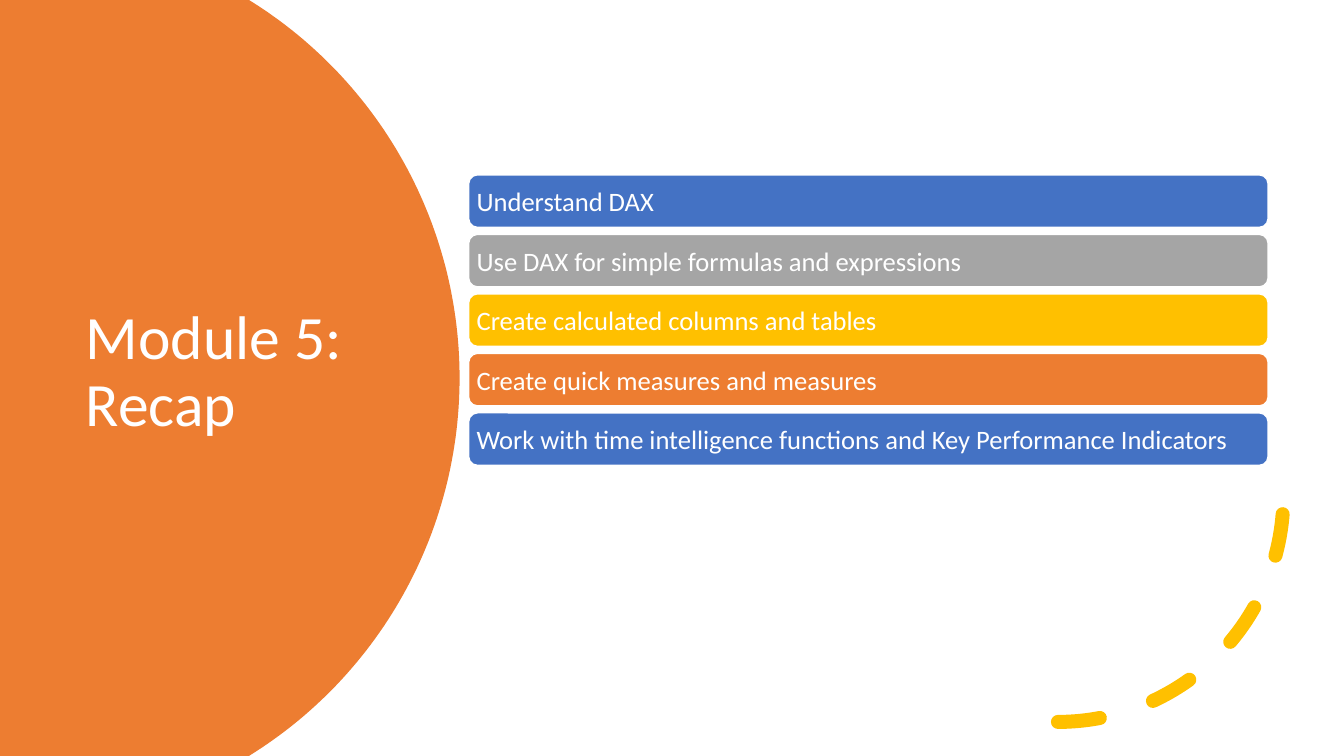
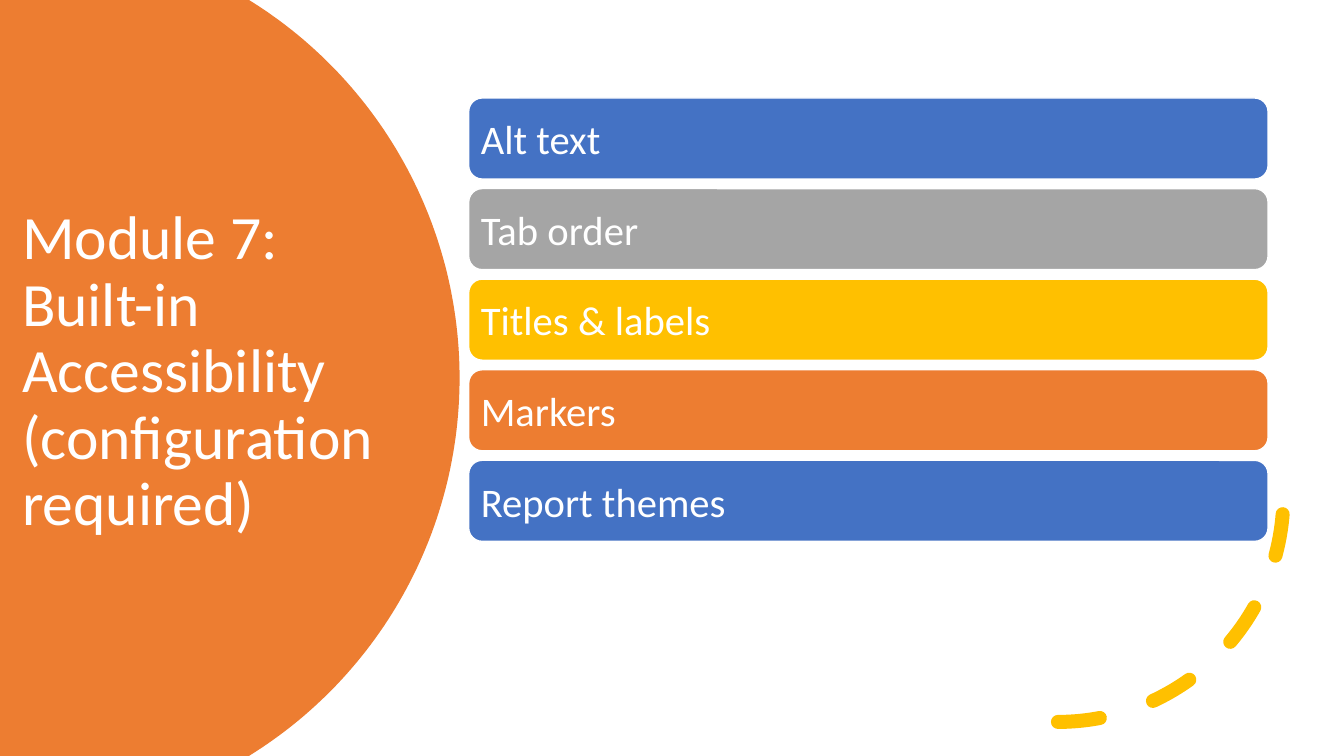
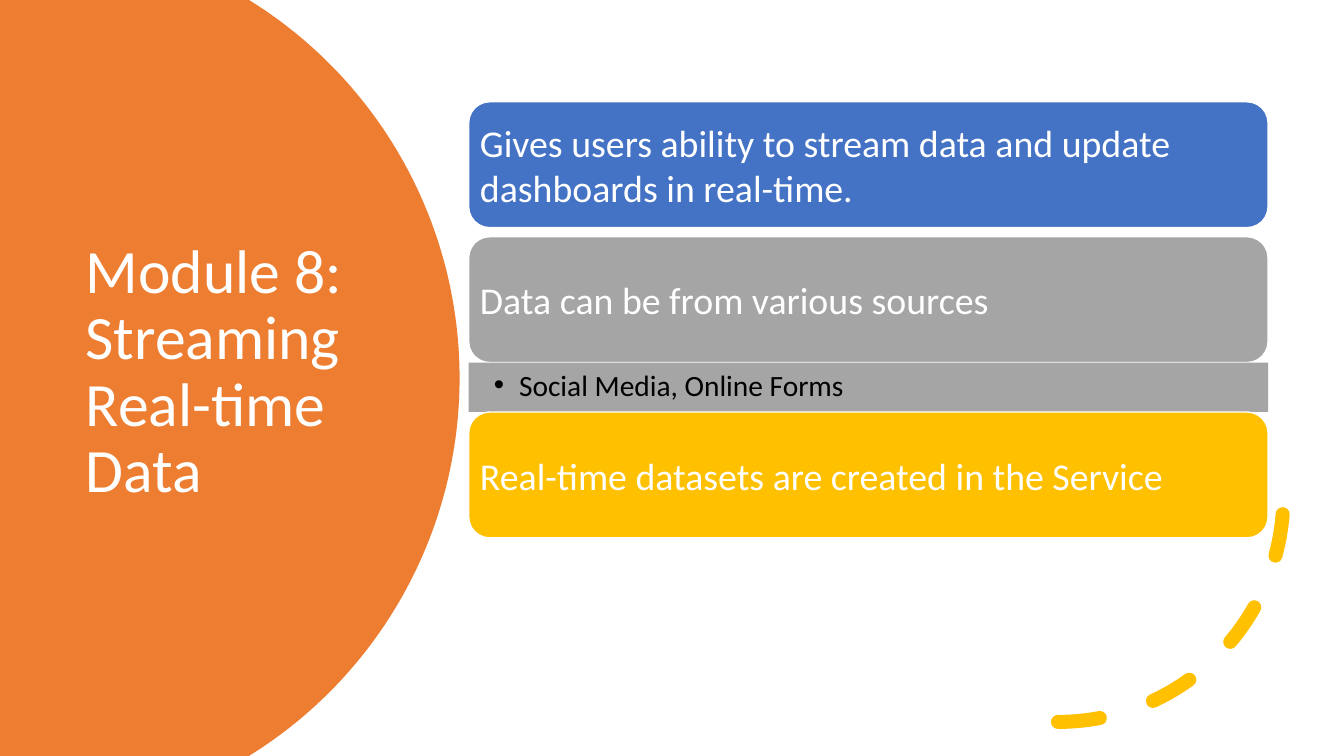
"""Build three course module slides with a round title panel and coloured bars."""
import math
from dataclasses import dataclass

from lxml import etree
from pptx import Presentation
from pptx import util as u
from pptx.dml.color import RGBColor
from pptx.enum import dml, shapes, text
from pptx.oxml import ns


@dataclass(frozen=True)
class Theme:
    font: str = "Calibri"
    title_size: float = 44
    white: str = "FFFFFF"
    black: str = "000000"
    orange: str = "ED7D31"
    blue: str = "4472C4"
    grey: str = "A5A5A5"
    gold: str = "FFC000"
    width: float = 960
    height: float = 540
    bar_left: float = 334.8
    bar_width: float = 571

    @property
    def bar_colours(self):
        return [self.blue, self.grey, self.gold, self.orange]


class ModuleDeck:
    def __init__(self, theme):
        self.theme = theme
        self.deck = Presentation()
        self.deck.slide_width = u.Pt(theme.width)
        self.deck.slide_height = u.Pt(theme.height)
        self.slide = None

    def add_slide(self, title, title_left=54):
        self.slide = self.deck.slides.add_slide(self.deck.slide_layouts[5])
        self.panel()
        self.title(title, title_left)
        self.dashed_arc()

    def paint(self, shape, fill=None, line=None, line_width=1):
        shape.shadow.inherit = False
        if fill:
            shape.fill.solid()
            shape.fill.fore_color.rgb = RGBColor.from_string(fill)
        else:
            shape.fill.background()
        if line:
            shape.line.color.rgb = RGBColor.from_string(line)
            shape.line.width = u.Pt(line_width)
        else:
            shape.line.fill.background()

    def set_words(self, shape, words, size, colour, insets, anchor):
        frame = shape.text_frame
        frame.text = words
        frame.word_wrap = True
        frame.auto_size = text.MSO_AUTO_SIZE.NONE
        frame.vertical_anchor = anchor
        frame.margin_left, frame.margin_top, frame.margin_right, frame.margin_bottom = (
            u.Pt(inset) for inset in insets)
        para = frame.paragraphs[0]
        para.alignment = text.PP_ALIGN.LEFT
        for span in para.runs:
            span.font.name = self.theme.font
            span.font.size = u.Pt(size)
            span.font.color.rgb = RGBColor.from_string(colour)
        return para

    def panel(self):
        radius, centre_x, middle = 317.5, 10.8, self.theme.height / 2
        reach = math.asin(middle / radius)
        steps = 120
        angles = [reach * (2 * step / steps - 1) for step in range(steps + 1)]
        edge = [(centre_x + radius * math.cos(angle), middle + radius * math.sin(angle))
                for angle in angles]
        points = [(u.Pt(x), u.Pt(y)) for x, y in edge + [(0, self.theme.height)]]
        builder = self.slide.shapes.build_freeform(0, 0)
        builder.add_line_segments(points, close=True)
        panel = builder.convert_to_shape()
        self.paint(panel, self.theme.orange)
        self.slide.shapes.title.element.addprevious(panel.element)

    def title(self, words, left):
        box = self.slide.shapes.title
        right = 306
        box.left, box.top = u.Pt(left), u.Pt(90.7)
        box.width, box.height = u.Pt(right - left), u.Pt(351.4)
        para = self.set_words(box, words, self.theme.title_size, self.theme.white,
                              (7.2, 3.6, 7.2, 3.6), text.MSO_ANCHOR.MIDDLE)
        para.line_spacing = 0.9

    def dashed_arc(self):
        arc = self.slide.shapes.add_shape(
            shapes.MSO_SHAPE.ARC, u.Pt(594.7), u.Pt(193.7), u.Pt(322), u.Pt(322))
        self.paint(arc, line=self.theme.gold, line_width=10)
        arc.line.dash_style = dml.MSO_LINE.DASH
        properties = arc.element.spPr
        properties.find(ns.qn("a:ln")).set("cap", "rnd")
        properties.find(ns.qn("a:xfrm")).set("flipV", "1")

    def block(self, kind, top, height):
        return self.slide.shapes.add_shape(
            kind, u.Pt(self.theme.bar_left), u.Pt(top),
            u.Pt(self.theme.bar_width), u.Pt(height))

    def bar(self, words, top, height, size, padding, colour):
        bar = self.block(shapes.MSO_SHAPE.ROUNDED_RECTANGLE, top, height)
        self.paint(bar, colour, self.theme.white)
        corner_inset = height * bar.adjustments[0] * (1 - math.sqrt(0.5))
        self.set_words(bar, words, size, self.theme.white,
                       (padding - corner_inset,) * 4, text.MSO_ANCHOR.MIDDLE)

    def bars(self, items, top, height, gap, size, padding):
        colours = self.theme.bar_colours
        for index, words in enumerate(items):
            self.bar(words, top + index * (height + gap), height, size, padding,
                     colours[index % len(colours)])

    def bullet_strip(self, words, top, height, size):
        strip = self.block(shapes.MSO_SHAPE.RECTANGLE, top, height)
        self.paint(strip, self.theme.grey)
        para = self.set_words(strip, words, size, self.theme.black,
                              (18, 2.9, 15, 2.9), text.MSO_ANCHOR.TOP)
        properties = para._p.get_or_add_pPr()
        properties.set("marL", str(u.Pt(18)))
        properties.set("indent", str(-u.Pt(18)))
        etree.SubElement(properties, ns.qn("a:buFont")).set("typeface", "Arial")
        etree.SubElement(properties, ns.qn("a:buChar")).set("char", "•")


def main():
    theme = Theme()
    modules = ModuleDeck(theme)

    modules.add_slide("Module 5: Recap")
    modules.bars([
        "Understand DAX",
        "Use DAX for simple formulas and expressions",
        "Create calculated columns and tables",
        "Create quick measures and measures",
        "Work with time intelligence functions and Key Performance Indicators",
    ], top=124.9, height=37.5, gap=5, size=19, padding=5.7)

    modules.add_slide("Module 7: Built-in Accessibility (configuration required)", 8.6)
    modules.bars(["Alt text", "Tab order", "Titles & labels", "Markers", "Report themes"],
                 top=70, height=57.9, gap=6.8, size=29, padding=8.7)

    modules.add_slide("Module 8: Streaming Real-time Data")
    top, height, gap, size, padding = 72.7, 89.9, 6.5, 27, 8.1
    modules.bars([
        "Gives users ability to stream data and update dashboards in real-time.",
        "Data can be from various sources",
    ], top, height, gap, size, padding)
    strip_top, strip_height = top + 2 * height + gap, 35.3
    modules.bullet_strip("Social Media, Online Forms", strip_top, strip_height, 21)
    modules.bar("Real-time datasets are created in the Service",
                strip_top + strip_height, height, size, padding, theme.gold)

    modules.deck.save("out.pptx")


if __name__ == "__main__":
    main()
